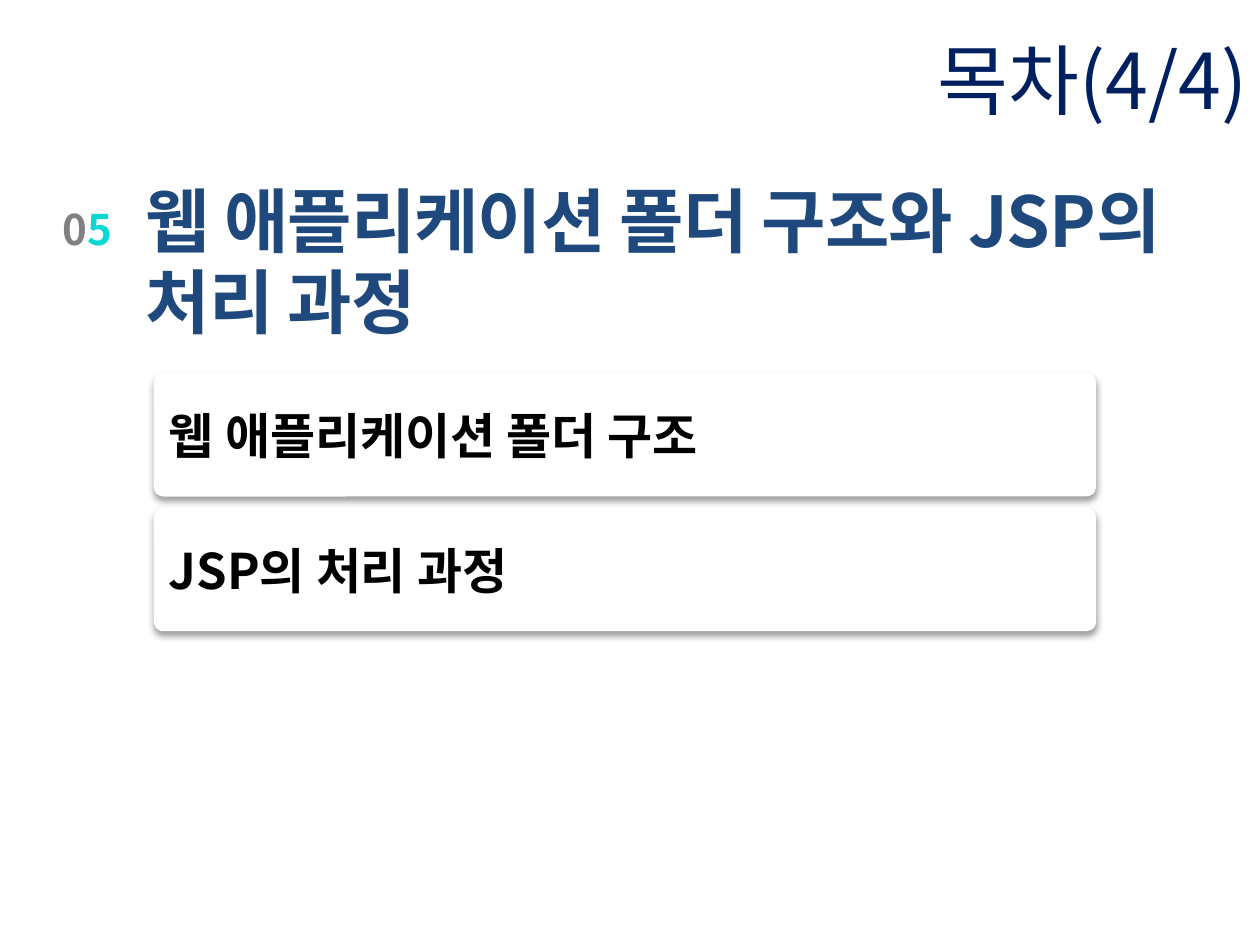
from dataclasses import dataclass

from lxml import etree
from pptx import Presentation
from pptx.dml.color import RGBColor
from pptx.enum import shapes, text
from pptx.oxml import ns
from pptx.util import Pt

FACE = "Noto Sans CJK KR"
ALIGN = text.PP_ALIGN
MIDDLE = text.MSO_ANCHOR.MIDDLE
TOP = text.MSO_ANCHOR.TOP


@dataclass
class Box:
    left: float
    top: float
    width: float
    height: float

    def place(self) -> list:
        return [Pt(v) for v in (self.left, self.top, self.width, self.height)]


@dataclass
class Style:
    size: float
    bold: bool = True
    align: int = ALIGN.LEFT
    anchor: int = TOP
    track: int = 0  # hundredths of a point
    lead: float = 0


def paint(color: str) -> RGBColor:
    return RGBColor.from_string(color)


def child(node, tag: str, **attrs: str):
    return etree.SubElement(node, ns.qn(tag), attrs)


def write(shape, lines: list, style: Style) -> None:
    """Fill a shape with lines, each a list of (words, colour) pairs."""
    frame = shape.text_frame
    frame.word_wrap = True
    frame.vertical_anchor = style.anchor
    par = frame.paragraphs[0]
    par.alignment = style.align
    if style.lead:
        par.line_spacing = Pt(style.lead)
    look = {"name": FACE, "size": Pt(style.size), "bold": style.bold}
    for row, line in enumerate(lines):
        if row:
            par.add_line_break()
        for words, color in line:
            run = par.add_run()
            run.text = words
            for key, value in look.items():
                setattr(run.font, key, value)
            run.font.color.rgb = paint(color)
            props = run.font._element
            child(props, "a:ea", typeface=FACE)
            if style.track:
                props.set("spc", str(style.track))


def label(slide, box: Box, lines: list, style: Style) -> None:
    write(slide.shapes.add_textbox(*box.place()), lines, style)


def card(slide, box: Box, words: str) -> None:
    """Draw a white rounded card with a soft shadow below it."""
    shape = slide.shapes.add_shape(
        shapes.MSO_SHAPE.ROUNDED_RECTANGLE, *box.place())
    shape.adjustments[0] = 0.08
    shape.fill.solid()
    shape.fill.fore_color.rgb = paint("FFFFFF")
    shape.line.fill.background()
    shape.shadow.inherit = False
    effects = shape._element.spPr.find(ns.qn("a:effectLst"))
    shade = child(effects, "a:outerShdw", blurRad=str(Pt(3.5)),
                  dist=str(Pt(2.2)), dir="5400000", rotWithShape="0")
    tone = child(shade, "a:srgbClr", val="000000")
    child(tone, "a:alpha", val="36000")
    write(shape, [[(words, "000000")]],
          Style(28, align=ALIGN.JUSTIFY, anchor=MIDDLE))


def main() -> None:
    deck = Presentation()
    deck.slide_width, deck.slide_height = Pt(720), Pt(540)
    slide = deck.slides.add_slide(deck.slide_layouts[6])

    label(slide, Box(0, 0, 720, 90), [[("목차(4/4)", "002060")]],
          Style(44, bold=False, align=ALIGN.RIGHT, anchor=MIDDLE))

    topics = ["웹 애플리케이션 폴더 구조", "JSP의 처리 과정"]
    for row, words in enumerate(topics):
        card(slide, Box(87.8, 213.1 + row * 77, 538.6, 70.6), words)

    heading = ["웹 애플리케이션 폴더 구조와 JSP의", "처리 과정"]
    label(slide, Box(76.3, 100, 651.6, 100),
          [[(line, "1F497D")] for line in heading],
          Style(40, track=-50, lead=46))
    label(slide, Box(24.5, 113, 51.1, 36),
          [[("0", "808080"), ("5", "07D8D3")]],
          Style(24, align=ALIGN.CENTER))

    deck.save("out.pptx")


if __name__ == "__main__":
    main()
